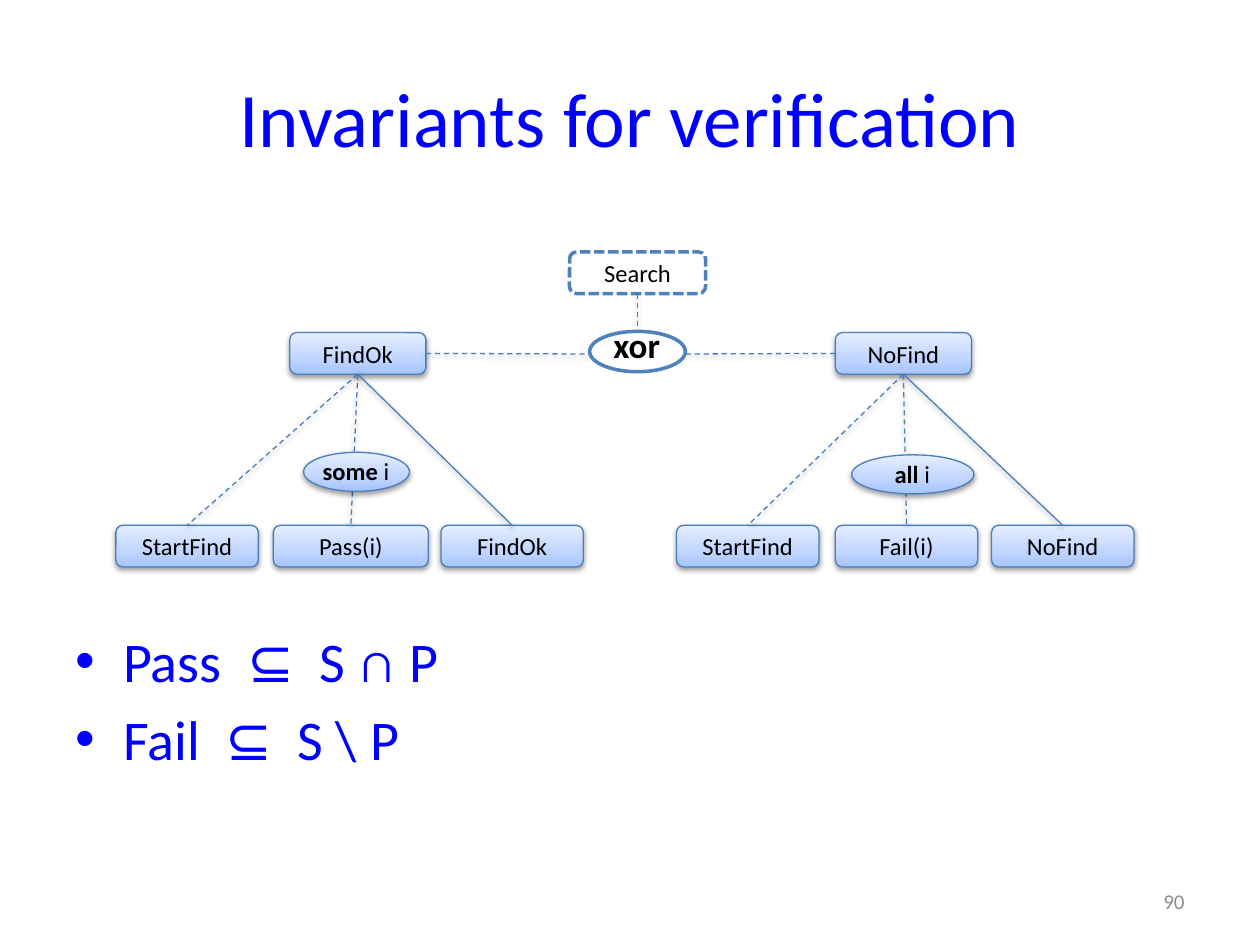
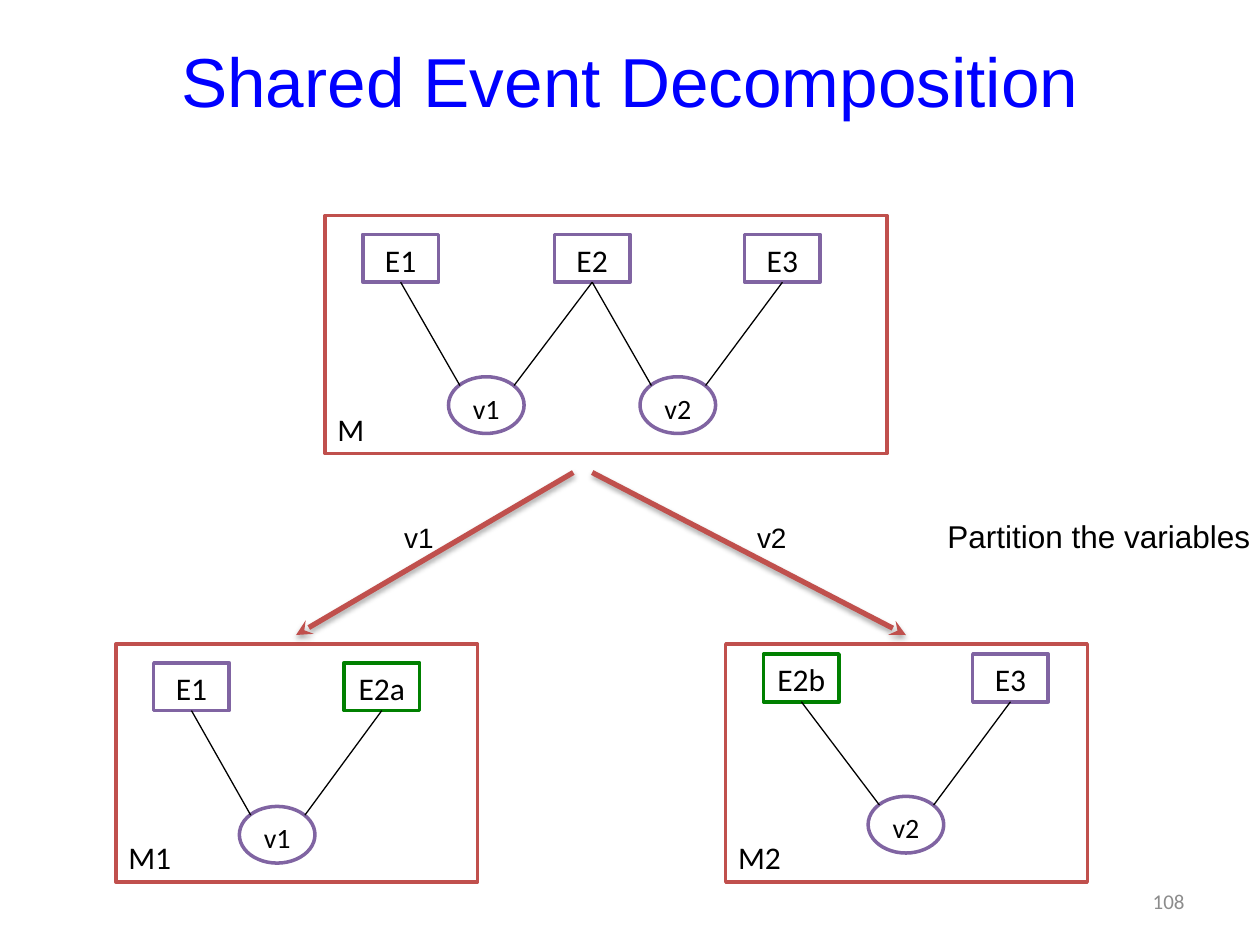
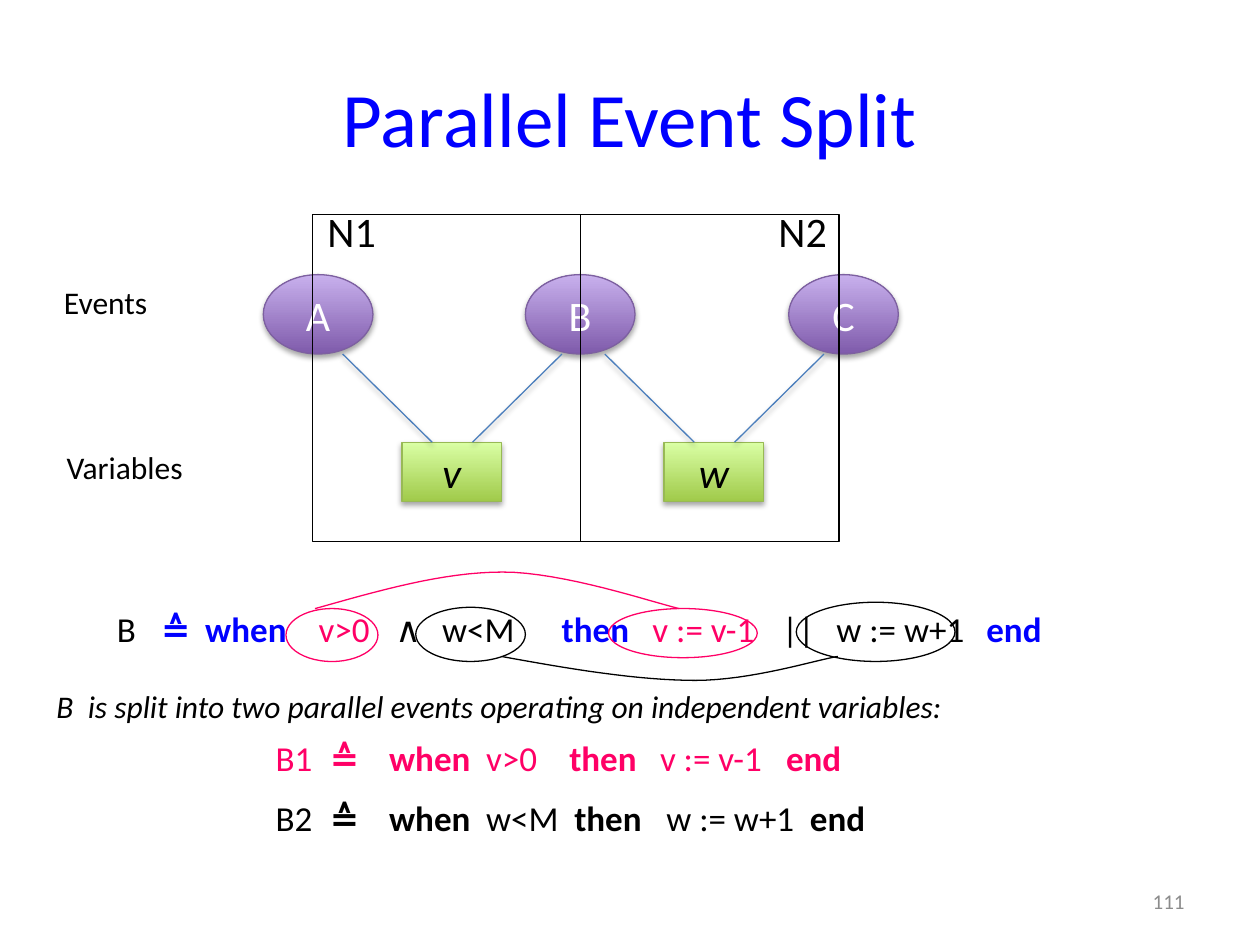
from collections import namedtuple

from lxml.etree import SubElement
from pptx import Presentation
from pptx.dml.color import RGBColor
from pptx.enum.dml import MSO_LINE
from pptx.enum.shapes import MSO_CONNECTOR, MSO_SHAPE
from pptx.enum.text import MSO_ANCHOR, PP_ALIGN
from pptx.oxml.ns import qn
from pptx.util import Pt

PX = 9144  # EMU in one px, with 100 px to the inch
TOP, LEFT, BOTTOM, RIGHT = range(4)

COLORS = {
    "title": "0000FF", "text": "000000", "page": "8C8C8C", "white": "FFFFFF",
    "blue": "4F81BD", "blue line": "4B7EBC", "purple": "8064A2",
    "purple line": "7D60A0", "green": "008000", "lime line": "98B955",
    "red": "C0504D", "pink": "FF0066",
}
GRADIENTS = {
    "sky": [(0, "A4C4FF"), (35, "BFD4FF"), (100, "E6EEFF")],
    "violet": [(0, "7F5BAB"), (100, "C8B0ED")],
    "lime": [(0, "A0CA4A"), (100, "DAFFA5")],
}
# opacity in percent, distance in EMU
SOFT_SHADOW, STRONG_SHADOW = (38, 20000), (35, 23000)

Joint = namedtuple("Joint", "shape site")


def rgb(name):
    return RGBColor.from_string(COLORS[name])


def emu(*lengths):
    return [round(length * PX) for length in lengths]


def set_gradient(shape, name):
    """Fill from bottom to top with the stops of a named gradient."""
    shape.fill.gradient()
    shape.fill.gradient_angle = 90
    stops = shape._element.spPr.find(qn("a:gradFill")).find(qn("a:gsLst"))
    for stop in list(stops):
        stops.remove(stop)
    for position, color in GRADIENTS[name]:
        stop = SubElement(stops, qn("a:gs"), pos=str(position * 1000))
        SubElement(stop, qn("a:srgbClr"), val=color)


def set_shadow(shape, shadow):
    """Replace the theme's shadow by the given one, or by none."""
    effects = SubElement(shape._element.spPr, qn("a:effectLst"))
    if shadow:
        opacity, distance = shadow
        outer = SubElement(effects, qn("a:outerShdw"), blurRad="40000",
                           dist=str(distance), dir="5400000", rotWithShape="0")
        color = SubElement(outer, qn("a:srgbClr"), val=COLORS["text"])
        SubElement(color, qn("a:alpha"), val=str(opacity * 1000))


def add_bullet(paragraph, indent):
    properties = paragraph._p.get_or_add_pPr()
    properties.set("marL", str(indent * PX))
    properties.set("indent", str(-indent * PX))
    SubElement(properties, qn("a:buFont"), typeface="Arial")
    SubElement(properties, qn("a:buChar"), char="•")


def add_tabs(paragraph, positions):
    tabs = SubElement(paragraph._p.get_or_add_pPr(), qn("a:tabLst"))
    for position in positions:
        SubElement(tabs, qn("a:tab"), pos=str(position * PX), algn="l")


def write(shape, text, size=18, color="text", font="Calibri", bold=False,
          italic=False, align=PP_ALIGN.LEFT, anchor=MSO_ANCHOR.TOP, wrap=True,
          gap=0, bullet=0, tabs=()):
    """Text is a string or a list of paragraphs; a paragraph is a string
    or a list of (string, format) runs. Tabs hold one list per paragraph."""
    frame = shape.text_frame
    frame.word_wrap = wrap
    frame.vertical_anchor = anchor
    for index, runs in enumerate([text] if isinstance(text, str) else text):
        paragraph = frame.add_paragraph() if index else frame.paragraphs[0]
        paragraph.alignment = align
        if index:
            paragraph.space_before = Pt(gap)
        if bullet:
            add_bullet(paragraph, bullet)
        if tabs:
            add_tabs(paragraph, tabs[index])
        for string, style in [(runs, {})] if isinstance(runs, str) else runs:
            run = paragraph.add_run()
            run.text = string
            run.font.name = font
            run.font.size = Pt(size)
            run.font.bold = style.get("bold", bold)
            run.font.italic = italic
            run.font.color.rgb = rgb(style.get("color", color))


class Deck:
    def __init__(self):
        self.presentation = Presentation()
        self.presentation.slide_width, self.presentation.slide_height = emu(1000, 750)
        self.shapes = None

    def slide(self, title, number, **title_format):
        layout = self.presentation.slide_layouts[6]
        self.shapes = self.presentation.slides.add_slide(layout).shapes
        style = dict(size=44, color="title", align=PP_ALIGN.CENTER,
                     anchor=MSO_ANCHOR.MIDDLE)
        heading = self.text((50, 30, 900, 125), title, **{**style, **title_format})
        self.text((717, 695, 233, 40), str(number), size=12, color="page",
                  align=PP_ALIGN.RIGHT, anchor=MSO_ANCHOR.MIDDLE)
        return heading

    def text(self, box, text, **style):
        shape = self.shapes.add_textbox(*emu(*box))
        write(shape, text, **style)
        return shape

    def outline(self, shape, color, width, dash=None):
        shape.line.color.rgb = rgb(color)
        shape.line.width = Pt(width)
        if dash:
            shape.line.dash_style = dash

    def shape(self, kind, box, text="", fill=None, gradient=None, line="text",
              width=0.75, dash=None, shadow=None, **style):
        shape = self.shapes.add_shape(kind, *emu(*box))
        if gradient:
            set_gradient(shape, gradient)
        elif fill:
            shape.fill.solid()
            shape.fill.fore_color.rgb = rgb(fill)
        else:
            shape.fill.background()
        self.outline(shape, line, width, dash)
        set_shadow(shape, shadow)
        if text:
            write(shape, text, **{"align": PP_ALIGN.CENTER, **style})
        return shape

    def line(self, start, end, color="text", width=0.75, dash=None,
             arrow=False, shadow=None):
        """Each end is a point or a Joint."""
        points = [(0, 0) if isinstance(place, Joint) else place
                  for place in (start, end)]
        connector = self.shapes.add_connector(
            MSO_CONNECTOR.STRAIGHT, *emu(*points[0], *points[1]))
        if isinstance(start, Joint):
            connector.begin_connect(*start)
        if isinstance(end, Joint):
            connector.end_connect(*end)
        self.outline(connector, color, width, dash)
        if arrow:
            SubElement(connector._element.spPr.find(qn("a:ln")),
                       qn("a:tailEnd"), type="stealth")
        set_shadow(connector, shadow)

    def curve(self, start, *segments, color="text", steps=16):
        """Draw cubic segments, each two control points and an end point."""
        points = [start]
        for controls in segments:
            knots = (points[-1], *controls)
            for step in range(1, steps + 1):
                t = step / steps
                weights = ((1 - t) ** 3, 3 * t * (1 - t) ** 2,
                           3 * t * t * (1 - t), t ** 3)
                points.append(tuple(sum(w * knot[axis] for w, knot in zip(weights, knots))
                                    for axis in (0, 1)))
        outline = [emu(*point) for point in points]
        builder = self.shapes.build_freeform(*outline[0], scale=1.0)
        builder.add_line_segments(outline[1:], close=False)
        shape = builder.convert_to_shape()
        shape.fill.background()
        self.outline(shape, color, 0.75)
        set_shadow(shape, None)


SKY = dict(gradient="sky", line="blue line", shadow=SOFT_SHADOW)
SKY_LINE = dict(color="blue line", shadow=SOFT_SHADOW)
DASHED = dict(dash=MSO_LINE.DASH, **SKY_LINE)
BOLD = {"bold": True}


def event_box(deck, box, label, **style):
    return deck.shape(MSO_SHAPE.ROUNDED_RECTANGLE, box, label,
                      size=14, anchor=MSO_ANCHOR.MIDDLE, **{**SKY, **style})


def event_tree(deck, root, leaves, quantifier, oval):
    """Hang three leaves below root; the oval quantifies the middle one."""
    links = (DASHED, DASHED, SKY_LINE)
    for (left, width, label), link in zip(leaves, links):
        leaf = event_box(deck, (left, 417, width, 33), label)
        deck.line(Joint(root, BOTTOM), Joint(leaf, TOP), **link)
    left, top, width = oval
    deck.shape(MSO_SHAPE.OVAL, (left, top, width, 31), **SKY)
    deck.text((left - 1, top - 2, width + 1, 34),
              [[(quantifier + " ", BOLD), ("i", {})]],
              size=14, align=PP_ALIGN.CENTER)


def invariants(deck):
    deck.slide("Invariants for verification", 90)
    find_ok = event_box(deck, (230, 264, 108, 33), "FindOk")
    no_find = event_box(deck, (663, 264, 108, 33), "NoFind")
    search = event_box(deck, (452, 200, 108, 33), "Search", gradient=None, fill="white",
                       line="blue", width=2, dash=MSO_LINE.SQUARE_DOT, shadow=None)
    deck.line(Joint(find_ok, RIGHT), (475, 281), **DASHED)
    deck.line((537, 281), Joint(no_find, LEFT), **DASHED)
    deck.line(Joint(search, BOTTOM), (506, 262), **DASHED)
    event_tree(deck, find_ok, [(92, 113, "StartFind"), (217, 123, "Pass(i)"),
                               (350, 113, "FindOk")], "some", (241, 359, 84))
    event_tree(deck, no_find, [(537, 113, "StartFind"), (663, 113, "Fail(i)"),
                               (787, 113, "NoFind")], "all", (676, 361, 97))
    deck.shape(MSO_SHAPE.OVAL, (468, 263, 76, 32), fill="white", line="blue", width=2)
    deck.text((477, 252, 86, 44), "xor", size=20, bold=True)
    deck.text((50, 492, 900, 178), ["Pass  ⊆  S ∩ P", "Fail  ⊆  S \\ P"],
              size=32, color="title", bullet=38, gap=6.4)


def event_graph(deck, events, variables, links):
    """Draw events (label: left, top, colour) linked to variables (label: left, top)."""
    boxes = {label: deck.shape(MSO_SHAPE.RECTANGLE, (left, top, 60, 38), label,
                               fill="white", line=color, width=2)
             for label, (left, top, color) in events.items()}
    for label, (left, top) in variables.items():
        deck.shape(MSO_SHAPE.OVAL, (left, top, 60, 45), label, size=16,
                   fill="white", line="purple", width=2)
    for event, variable in links:
        left, top = variables[variable]
        corner = 9 if events[event][0] < left else 52
        deck.line(Joint(boxes[event], BOTTOM), (left + corner, top + 7))


def shared_events(deck):
    heading = deck.slide("Shared Event Decomposition", 108, size=39.6,
                         font="Arial", anchor=MSO_ANCHOR.TOP)
    heading.text_frame.margin_top = 0
    event_graph(deck,
                {"E1": (288, 186, "purple"), "E2": (440, 186, "purple"),
                 "E3": (591, 186, "purple")},
                {"v1": (356, 299), "v2": (508, 299)},
                [("E1", "v1"), ("E2", "v2"), ("E3", "v2"), ("E2", "v1")])
    event_graph(deck, {"E1": (122, 526, "purple"), "E2a": (273, 526, "green")},
                {"v1": (190, 640)}, [("E1", "v1"), ("E2a", "v1")])
    event_graph(deck, {"E2b": (606, 519, "green"), "E3": (772, 519, "purple")},
                {"v2": (689, 632)}, [("E2b", "v2"), ("E3", "v2")])
    for left, top, width, machine in ((258, 171, 446, "M"), (92, 511, 287, "M1"),
                                      (576, 511, 287, "M2")):
        deck.shape(MSO_SHAPE.RECTANGLE, (left, top, width, 189), machine, line="red",
                   width=2, align=PP_ALIGN.LEFT, anchor=MSO_ANCHOR.BOTTOM)
    for start, end, label_left, label in ((455, 235, 311, "v1"), (470, 719, 591, "v2")):
        deck.line((start, 375), (end, 504), color="red", width=3, arrow=True,
                  shadow=STRONG_SHADOW)
        deck.text((label_left, 408, 45, 37), label, size=16, font="Arial", wrap=False)
    deck.text((742, 405, 261, 39), "Partition the variables", font="Arial", wrap=False)


def parallel_split(deck):
    deck.slide("Parallel Event Split", 111)
    node = dict(size=24, anchor=MSO_ANCHOR.MIDDLE, shadow=STRONG_SHADOW)
    for left, event in zip((209, 417, 626), "ABC"):
        deck.shape(MSO_SHAPE.OVAL, (left, 218, 87, 63), event, gradient="violet",
                   line="purple line", color="white", **node)
    for left, variable in ((319, "v"), (527, "w")):
        deck.shape(MSO_SHAPE.RECTANGLE, (left, 351, 79, 47), variable, gradient="lime",
                   line="lime line", italic=True, **node)
        center = left + 40
        for side in (-1, 1):
            deck.line((center + side * 87, 281), (center + side * 16, 351),
                      color="blue line", shadow=STRONG_SHADOW)
    deck.text((41, 220, 97, 40), "Events", wrap=False)
    deck.text((43, 351, 124, 40), "Variables", wrap=False)
    for left, width, label_left, part in ((248, 213, 250, "N1"), (461, 205, 608, "N2")):
        deck.shape(MSO_SHAPE.RECTANGLE, (left, 170, width, 260))
        deck.text((label_left, 158, 59, 50), part, size=24, wrap=False)

    keyword, pink = {"bold": True, "color": "title"}, {"color": "pink"}
    deck.text((83, 477, 819, 44),
              [[("B\t", {}), ("≙\twhen\t", keyword), ("v>0\t", pink),
                ("∧\tw<M\t", {}), ("then\t", keyword), ("v := v-1\t", pink),
                ("||\tw := w+1\t", {}), ("end", keyword)]],
              size=20, tabs=[(35, 70, 160, 221, 258, 353, 425, 528, 571, 690)])
    for box, color in (((227, 483, 73, 42), "pink"), ((483, 483, 118, 39), "pink"),
                       ((330, 482, 87, 43), "text"), ((632, 478, 126, 47), "text")):
        deck.shape(MSO_SHAPE.OVAL, box, line=color)
    deck.curve((250, 483), ((300, 469), (351, 454), (399, 454)),
               ((447, 454), (518, 478), (539, 483)), color="pink")
    deck.curve((398, 521), ((452, 531), (507, 540), (552, 540)),
               ((596, 540), (647, 524), (665, 521)))
    deck.text((35, 540, 756, 40),
              "B  is split into two parallel events operating on independent variables:",
              italic=True)

    events = [("B1", "v>0", "v := v-1", "pink"), ("B2", "w<M", "w := w+1", "text")]
    deck.text((209, 580, 504, 94),
              [[(name + "\t", {"color": color}),
                ("≙\twhen\t", {"bold": True, "color": color}),
                (guard + "\t", {"color": color}),
                ("then\t", {"bold": True, "color": color}),
                (action + "\t", {"color": color}),
                ("end", {"bold": True, "color": color})]
               for name, guard, action, color in events],
              size=20, gap=10,
              tabs=[(43, 90, 167, 233, 305, 405), (43, 90, 167, 237, 310, 424)])


def main():
    deck = Deck()
    invariants(deck)
    shared_events(deck)
    parallel_split(deck)
    deck.presentation.save("out.pptx")


if __name__ == "__main__":
    main()
